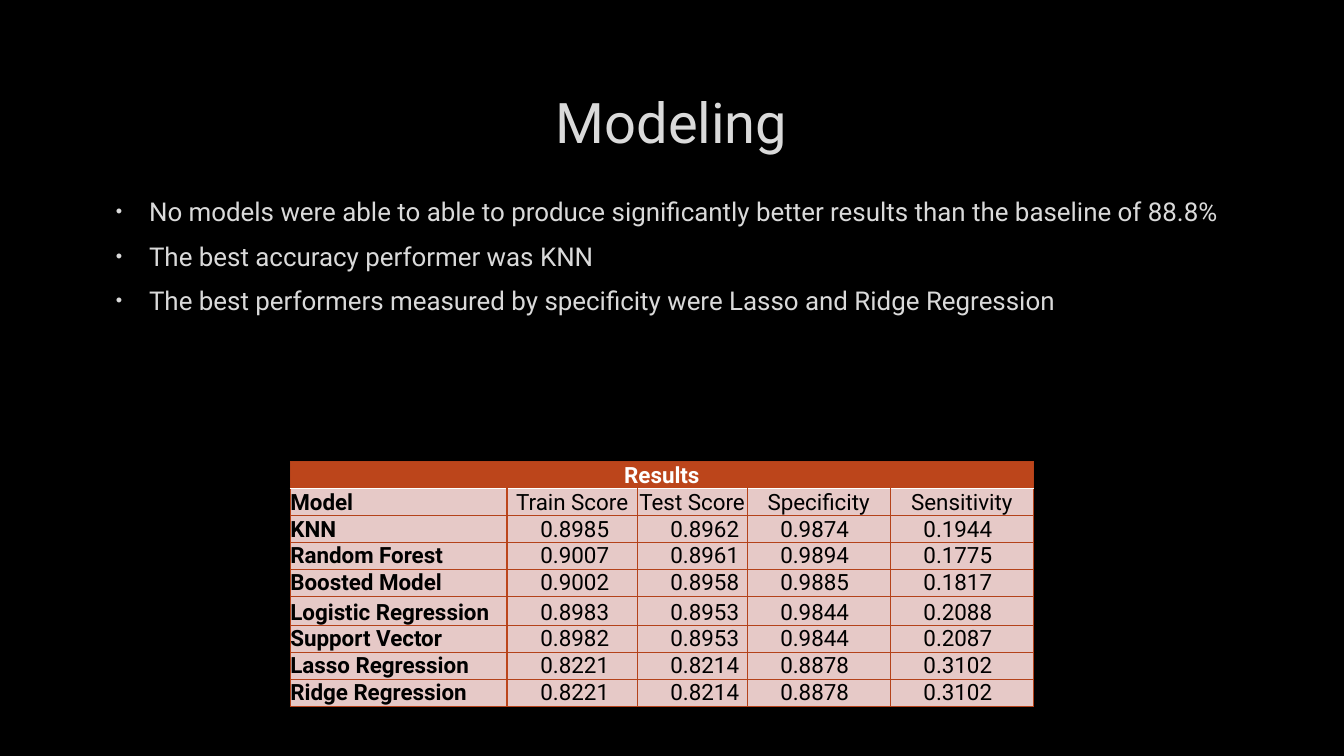
from lxml import etree
from pptx import Presentation
from pptx.dml.color import RGBColor
from pptx.enum import text
from pptx.oxml import parse_xml
from pptx.oxml.ns import nsdecls
from pptx.util import Inches, Pt

FONT = "Roboto"
LIGHT, BLACK, WHITE = "DADADA", "000000", "FFFFFF"
RUST, BORDER, PINK = "BC451B", "B4421A", "E6C9C7"
LEFT, CENTER = text.PP_ALIGN.LEFT, text.PP_ALIGN.CENTER

BULLETS = [
    "No models were able to able to produce significantly better results than the baseline of 88.8%",
    "The best accuracy performer was KNN",
    "The best performers measured by specificity were Lasso and Ridge Regression",
]
HEADINGS = ["Model", "Train Score", "Test Score", "Specificity", "Sensitivity"]
SCORES = [
    ["KNN", "0.8985", "0.8962", "0.9874", "0.1944"],
    ["Random Forest", "0.9007", "0.8961", "0.9894", "0.1775"],
    ["Boosted Model", "0.9002", "0.8958", "0.9885", "0.1817"],
    ["Logistic Regression", "0.8983", "0.8953", "0.9844", "0.2088"],
    ["Support Vector", "0.8982", "0.8953", "0.9844", "0.2087"],
    ["Lasso Regression", "0.8221", "0.8214", "0.8878", "0.3102"],
    ["Ridge Regression", "0.8221", "0.8214", "0.8878", "0.3102"],
]
COL_WIDTHS = [2.15, 1.29, 1.09, 1.42, 1.42]
ROW_HEIGHT, TALL_ROW, TALL_HEIGHT = 0.26, 5, 0.29
SCORE_INDENT = 0.33


def rgb(color):
    return RGBColor.from_string(color)


def set_all(obj, formats):
    for name, value in formats.items():
        setattr(obj, name, value)


def add_run(p, words, size, color, bold=False):
    r = p.add_run()
    r.text = words
    set_all(r.font, {"name": FONT, "size": Pt(size), "bold": bold})
    r.font.color.rgb = rgb(color)
    return r


def outline(r):
    """Give the run a faint, mostly transparent grey outline."""
    r.font._element.insert(0, parse_xml(
        f'<a:ln {nsdecls("a")} w="{Pt(0.75)}"><a:solidFill><a:srgbClr val="404040">'
        '<a:alpha val="10000"/></a:srgbClr></a:solidFill></a:ln>'))


def add_textbox(s, box, anchor):
    tf = s.shapes.add_textbox(*map(Inches, box)).text_frame
    set_all(tf, {"word_wrap": True, "vertical_anchor": anchor})
    return tf


def add_title(s, words):
    tf = add_textbox(s, (1, 0.67, 11.32, 1.06), text.MSO_ANCHOR.MIDDLE)
    p = tf.paragraphs[0]
    p.alignment = CENTER
    outline(add_run(p, words, 40, LIGHT))


def set_bullet(p):
    pPr = p._p.get_or_add_pPr()
    pPr.set("marL", str(Inches(0.38)))
    pPr.set("indent", str(Inches(-0.33)))
    for xml in (f'<a:buClr {nsdecls("a")}><a:srgbClr val="{LIGHT}"/></a:buClr>',
                f'<a:buSzPct {nsdecls("a")} val="70000"/>',
                f'<a:buFont {nsdecls("a")} typeface="Arial"/>',
                f'<a:buChar {nsdecls("a")} char="•"/>'):
        pPr.append(etree.fromstring(xml))


def add_bullets(s, items):
    tf = add_textbox(s, (1, 1.89, 11.32, 1.46), text.MSO_ANCHOR.TOP)
    for i, item in enumerate(items):
        p = tf.paragraphs[0] if i == 0 else tf.add_paragraph()
        set_all(p, {"space_before": Pt(3.7), "space_after": Pt(6)})
        set_bullet(p)
        outline(add_run(p, item, 18.5, LIGHT))


def set_borders(cell, **special):
    """Draw thin borders; special maps a side (L, R, T, B) to its own colour and width."""
    tcPr = cell._tc.get_or_add_tcPr()
    for i, side in enumerate("LRTB"):
        color, width = special.get(side, (BORDER, 0.75))
        tcPr.insert(i, parse_xml(
            f'<a:ln{side} {nsdecls("a")} w="{Pt(width)}"><a:solidFill>'
            f'<a:srgbClr val="{color}"/></a:solidFill></a:ln{side}>'))


def fill_cell(cell, words, fill, color=BLACK, bold=False, align=LEFT, indent=0):
    set_all(cell, {"margin_left": Inches(indent), "margin_right": 0, "margin_top": 0,
                   "margin_bottom": 0, "vertical_anchor": text.MSO_ANCHOR.BOTTOM})
    cell.fill.solid()
    cell.fill.fore_color.rgb = rgb(fill)
    p = cell.text_frame.paragraphs[0]
    p.alignment = align
    add_run(p, words, 16, color, bold)


def add_results(s):
    rows = [HEADINGS] + SCORES
    table = s.shapes.add_table(len(rows) + 1, len(HEADINGS), Inches(2.88), Inches(4.58),
                               Inches(sum(COL_WIDTHS)), Inches(2.46)).table
    for col, width in zip(table.columns, COL_WIDTHS):
        col.width = Inches(width)
    for i, row in enumerate(table.rows):
        row.height = Inches(TALL_HEIGHT if i == TALL_ROW else ROW_HEIGHT)

    banner = table.cell(0, 0)
    banner.merge(table.cell(0, len(HEADINGS) - 1))
    fill_cell(banner, "Results", RUST, WHITE, True, CENTER)
    set_borders(banner, B=(WHITE, 1.25))

    for i, row in enumerate(rows, 1):
        for j, words in enumerate(row):
            cell = table.cell(i, j)
            if j == 0:
                fill_cell(cell, words, PINK, bold=True)
                set_borders(cell, R=(RUST, 1.25))
                continue
            if i == 1:
                fill_cell(cell, words, PINK, align=CENTER)
            else:
                fill_cell(cell, words, PINK, indent=SCORE_INDENT)
            set_borders(cell)


def main():
    prs = Presentation()
    set_all(prs, {"slide_width": Inches(13.33), "slide_height": Inches(7.5)})
    s = prs.slides.add_slide(prs.slide_layouts[6])
    s.background.fill.solid()
    s.background.fill.fore_color.rgb = rgb(BLACK)
    add_title(s, "Modeling")
    add_results(s)
    add_bullets(s, BULLETS)
    prs.save("out.pptx")


if __name__ == "__main__":
    main()
